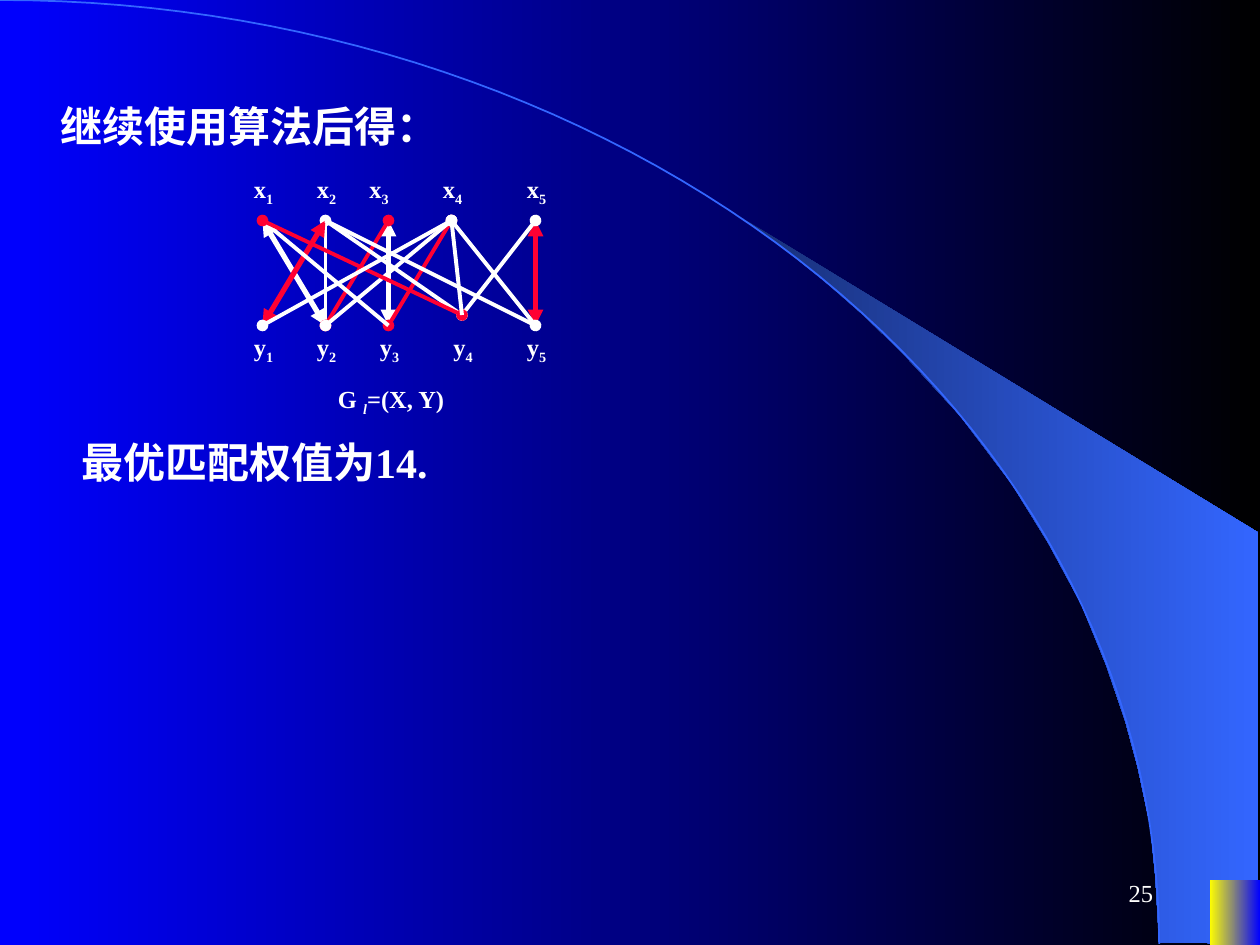
import math

import pptx
import pptx.dml.color
import pptx.enum.shapes
import pptx.enum.text
import pptx.oxml
import pptx.oxml.ns
import pptx.util

COLORS = {"blue": "0000FF", "black": "000000", "white": "FFFFFF", "red": "FF0033",
          "navy": "182F76", "sky": "3366FF", "gold": "FFFF00"}
FONT = "Times New Roman"
UNIT = pptx.util.Inches(1) // 12  # grid of 120 columns by 90 rows


def color(name):
    return pptx.dml.color.RGBColor.from_string(COLORS[name])


def blend(fill, start, end):
    fill.gradient()
    fill.gradient_angle = 0
    for stop, name in zip(fill.gradient_stops, (start, end)):
        stop.color.rgb = color(name)


class Deck:
    def __init__(self):
        self.prs = pptx.Presentation()
        self.prs.slide_width = 120 * UNIT
        self.prs.slide_height = 90 * UNIT
        self.slide = self.prs.slides.add_slide(self.prs.slide_layouts[6])
        self.shapes = self.slide.shapes

    def place(self, *cells):
        return [round(cell * UNIT) for cell in cells]

    def outline(self, points, close):
        spots = [self.place(*point) for point in points]
        build = self.shapes.build_freeform(*spots[0], scale=1.0)
        build.add_line_segments(spots[1:], close=close)
        shape = build.convert_to_shape()
        shape.shadow.inherit = False
        return shape

    def wedge(self, points):
        shape = self.outline(points, True)
        blend(shape.fill, "navy", "sky")
        shape.line.fill.background()

    def arc(self, width, height, steps=60):
        turns = [math.pi / 2 * i / steps for i in range(steps + 1)]
        shape = self.outline([(width * math.sin(t), height * (1 - math.cos(t)))
                              for t in turns], False)
        shape.fill.background()
        shape.line.color.rgb = color("sky")
        shape.line.width = pptx.util.Pt(1)

    def block(self, *cells):
        shape = self.shapes.add_shape(pptx.enum.shapes.MSO_SHAPE.RECTANGLE,
                                      *self.place(*cells))
        shape.shadow.inherit = False
        blend(shape.fill, "gold", "blue")
        shape.line.fill.background()

    def text(self, cells, runs, size=14, bold=True, middle=False, right=False, indent=0):
        """Runs are (text, is subscript, is italic)."""
        frame = self.shapes.add_textbox(*self.place(*cells)).text_frame
        frame.word_wrap = True
        if middle:
            frame.vertical_anchor = pptx.enum.text.MSO_ANCHOR.MIDDLE
        para = frame.paragraphs[0]
        if right:
            para.alignment = pptx.enum.text.PP_ALIGN.RIGHT
        if indent:
            para._p.get_or_add_pPr().set("marL", str(pptx.util.Inches(indent)))
        for words, sub, slant in runs:
            run = para.add_run()
            run.text = words
            font = run.font
            font.name, font.size, font.bold = FONT, pptx.util.Pt(size), bold
            font.color.rgb = color("white")
            if slant:
                font.italic = True
            if sub:
                font._element.set("baseline", "-25000")

    def edge(self, start, end, name, width, tip):
        line = self.shapes.add_connector(pptx.enum.shapes.MSO_CONNECTOR.STRAIGHT,
                                         *self.place(*start, *end))
        line.line.color.rgb = color(name)
        line.line.width = pptx.util.Pt(width)
        if tip:
            pen = line.line._get_or_add_ln()
            for tag in ("headEnd", "tailEnd"):
                pen.append(pptx.oxml.parse_xml(
                    f'<a:{tag} {pptx.oxml.ns.nsdecls("a")} type="{tip}"/>'))
        line._element.spPr.append(pptx.oxml.parse_xml(
            f'<a:effectLst {pptx.oxml.ns.nsdecls("a")}/>'))


# Wedge corners in inches
WEDGE = [(9.2, 7.48), (9.99, 7.49), (9.99, 4.23), (5.89, 1.73), (6.24, 1.99),
         (6.53, 2.22), (6.85, 2.5), (7.16, 2.8), (7.62, 3.3), (8.03, 3.84),
         (8.32, 4.31), (8.58, 4.79), (8.78, 5.28), (8.93, 5.72), (9.03, 6.09),
         (9.13, 6.56), (9.17, 6.96)]

# Graph nodes and label columns on the grid
TOP = {1: (25, 21), 2: (31, 21), 3: (37, 21), 4: (43, 21), 5: (51, 21)}
LOW = {1: (25, 31), 2: (31, 31), 3: (37, 31), 4: (44, 30), 5: (51, 31)}
LABELS = [("x", 16, (23, 29, 34, 41, 49)), ("y", 31, (23, 29, 35, 42, 49))]

# Edges: x index, y index, colour, width, tip
DOT, TIP = (2.25, "oval"), (3, "triangle")
BARE = (2.25, None)
EDGES = [(2, 2, "white", DOT), (3, 3, "white", TIP), (5, 5, "red", TIP),
         (1, 2, "white", TIP), (3, 2, "red", DOT), (5, 4, "white", DOT),
         (4, 3, "red", DOT), (4, 2, "white", DOT), (2, 1, "red", TIP),
         (1, 3, "white", BARE), (2, 4, "white", BARE), (2, 5, "white", BARE),
         (1, 4, "red", DOT), (4, 1, "white", DOT), (4, 5, "white", DOT),
         (4, 4, "white", BARE)]


def main():
    deck = Deck()

    # Backdrop
    blend(deck.slide.background.fill, "blue", "black")
    deck.wedge([(x * 12, y * 12) for x, y in WEDGE])
    deck.arc(110.4, 89.9)
    deck.block(115.2, 83.8, 4.8, 6.2)

    # Page number and statements
    deck.text((86, 82, 25, 6), [("25", False, False)], bold=False, middle=True, right=True)
    for left, top, words in ((0, 9, "继续使用算法后得："), (2, 41, "最优匹配权值为14.")):
        deck.text((left, top, 102, 6), [(words, False, False)], size=24,
                  middle=True, indent=0.38)

    # Bipartite graph
    for i, j, name, style in EDGES:
        deck.edge(TOP[i], LOW[j], name, *style)
    for letter, row, columns in LABELS:
        for i, column in enumerate(columns, 1):
            deck.text((column, row, 5.2, 4.4), [(letter, False, False), (str(i), True, False)])
    deck.text((31, 36, 13.2, 4.4),
              [("G ", False, False), ("l", True, True), ("=(X, Y)", False, False)])

    deck.prs.save("out.pptx")


if __name__ == "__main__":
    main()
